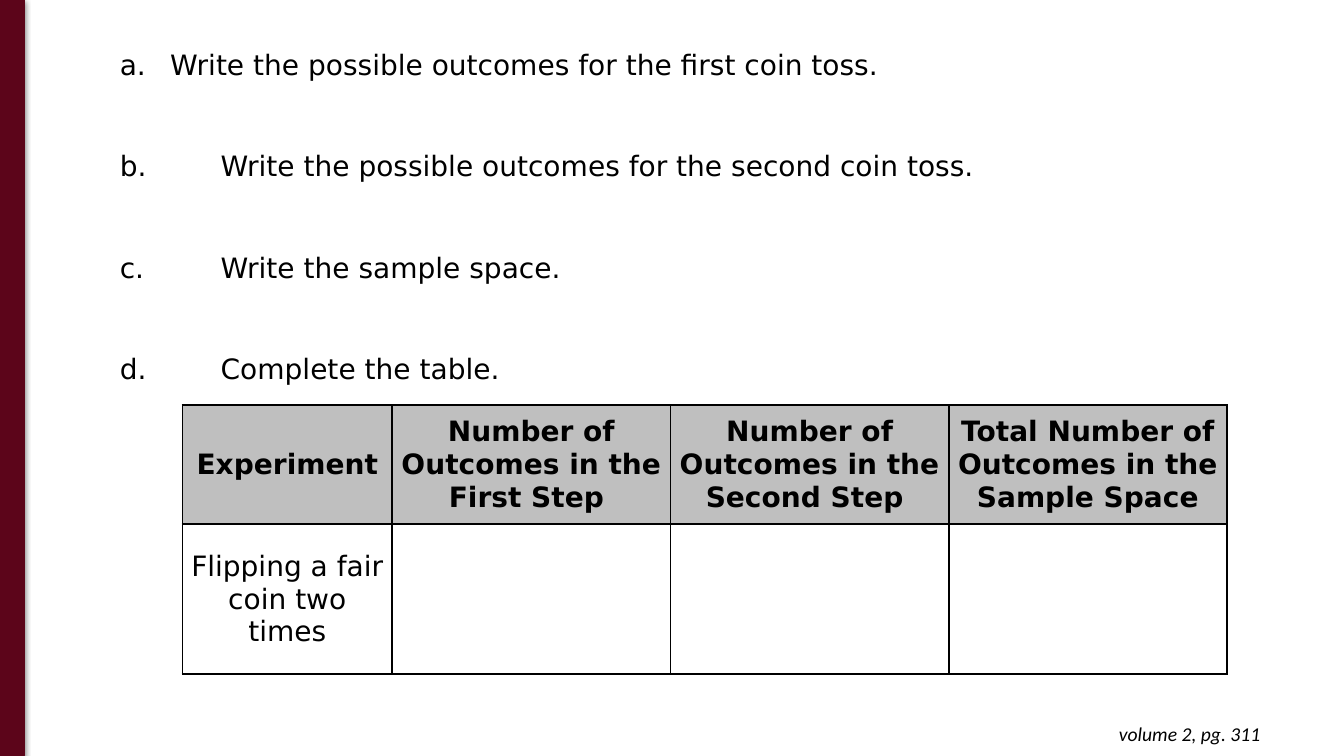
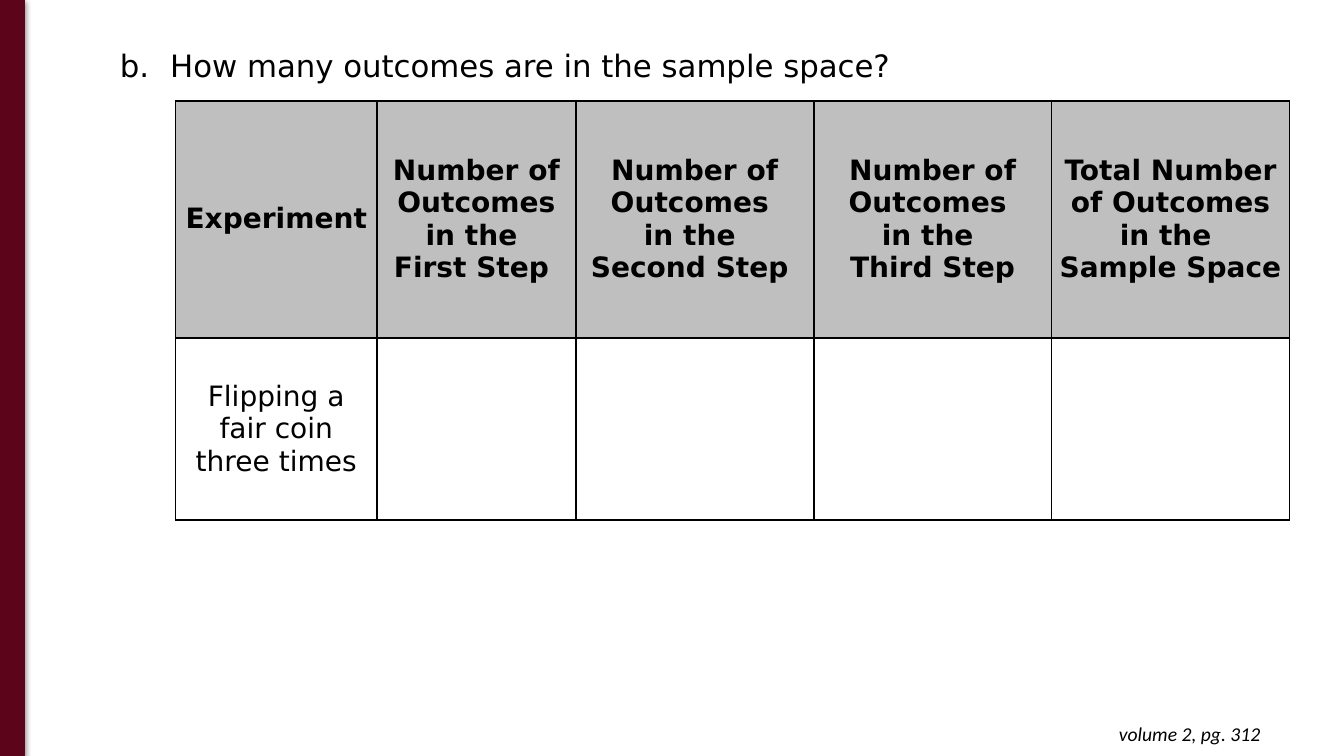
"""Build two worksheet slides on coin toss outcomes."""
from lxml import etree
from pptx import Presentation
from pptx import util as u
from pptx.dml.color import RGBColor
from pptx.enum import shapes, text
from pptx.oxml import ns

HUES = {"bar": "5C051A", "head": "BFBFBF", "ink": "000000"}
FONT = "DejaVu Sans"
PAGES = [
    {
        "box": (0.59, 0.42, 11.4, 3.47),
        "size": 20,
        "first": 1,
        "tasks": [
            ("Write the possible outcomes for the first coin toss.", 1, 0.5),
            ("Write the possible outcomes for the second coin toss.", 1.5, 1),
            ("Write the sample space.", 1.5, 1),
            ("Complete the table.", 1.5, 1),
        ],
        "spot": (1.81, 4.02),
        "cols": [2.08, 2.76, 2.76, 2.76],
        "rows": [1.18, 1.49],
        "heads": [
            "Experiment",
            "Number of Outcomes in the First Step ",
            "Number of Outcomes in the Second Step ",
            "Total Number of Outcomes in the Sample Space",
        ],
        "trial": "Flipping a fair coin two times",
        "foot": "volume 2, pg. 311",
    },
    {
        "box": (0.59, 0.41, 9.9, 0.5),
        "size": 22,
        "first": 2,
        "tasks": [("How many outcomes are in the sample space?", 1, 0.5)],
        "spot": (1.74, 1),
        "cols": [2, 1.97, 2.36, 2.36, 2.36],
        "rows": [2.35, 1.81],
        "heads": [
            "Experiment",
            "Number of Outcomes in the \nFirst Step ",
            "Number of Outcomes \nin the \nSecond Step ",
            "Number of Outcomes \nin the \nThird Step",
            "Total Number of Outcomes in the \nSample Space",
        ],
        "trial": "Flipping a fair coin three times",
        "foot": "volume 2, pg. 312",
    },
]


def hue(name):
    return RGBColor.from_string(HUES[name])


def node(root, tag, **attrs):
    return etree.SubElement(root, ns.qn(tag), {k: str(v) for k, v in attrs.items()})


def style(para, size, face=FONT, bold=False, slant=False):
    font = para.font
    font.name, font.size = face, u.Pt(size)
    font.bold, font.italic = bold, slant
    font.color.rgb = hue("ink")


def add_box(slide, place):
    frame = slide.shapes.add_textbox(*map(u.Inches, place)).text_frame
    frame.word_wrap = True
    return frame


def add_bar(slide):
    bar = slide.shapes.add_shape(
        shapes.MSO_SHAPE.RECTANGLE, 0, 0, u.Inches(0.24), u.Inches(7.5))
    bar.fill.solid()
    bar.fill.fore_color.rgb = bar.line.color.rgb = hue("bar")
    bar.line.width = u.Pt(0.75)
    bar.shadow.inherit = False
    glow = bar._element.spPr.find(ns.qn("a:effectLst"))
    cast = node(glow, "a:outerShdw", blurRad=u.Pt(4.5), dist=u.Pt(1.5),
                dir=5400000, rotWithShape=0)
    tint = node(cast, "a:srgbClr", val=HUES["ink"])
    node(tint, "a:alpha", val=50000)


def add_tasks(slide, page):
    frame = add_box(slide, page["box"])
    for i, (line, left, hang) in enumerate(page["tasks"]):
        para = frame.add_paragraph() if i else frame.paragraphs[0]
        para.text = line
        props = para._p.get_or_add_pPr()
        props.set("marL", str(u.Inches(left)))
        props.set("indent", str(-u.Inches(hang)))
        if i:
            para.space_before = u.Pt(48.5)
        tint = node(props, "a:buClr")
        node(tint, "a:srgbClr", val=HUES["ink"])
        node(props, "a:buFont", typeface=FONT)
        node(props, "a:buAutoNum", type="alphaLcPeriod", startAt=page["first"] + i)
        style(para, page["size"])


def add_edges(cell):
    props = cell._tc.get_or_add_tcPr()
    for i, side in enumerate("LRTB"):
        edge = node(props, f"a:ln{side}", w=u.Pt(1.5))
        fill = node(edge, "a:solidFill")
        node(fill, "a:srgbClr", val=HUES["ink"])
        props.insert(i, edge)


def add_grid(slide, page):
    cols, rows = page["cols"], page["rows"]
    place = (*page["spot"], sum(cols), sum(rows))
    grid = slide.shapes.add_table(len(rows), len(cols), *map(u.Inches, place)).table
    for col, wide in zip(grid.columns, cols):
        col.width = u.Inches(wide)
    for row, tall in zip(grid.rows, rows):
        row.height = u.Inches(tall)
    words = [page["heads"], [page["trial"]] + [""] * (len(cols) - 1)]
    for r, line in enumerate(words):
        for c, word in enumerate(line):
            cell = grid.cell(r, c)
            cell.margin_left = cell.margin_right = u.Inches(0.07)
            cell.margin_top = cell.margin_bottom = 0
            cell.vertical_anchor = text.MSO_ANCHOR.MIDDLE
            add_edges(cell)
            if r == 0:
                cell.fill.solid()
                cell.fill.fore_color.rgb = hue("head")
            else:
                cell.fill.background()
            para = cell.text_frame.paragraphs[0]
            para.text = word
            para.alignment = text.PP_ALIGN.CENTER
            style(para, 20, bold=r == 0)


def add_foot(slide, line):
    frame = add_box(slide, (9.72, 7.06, 2.88, 0.44))
    frame.margin_top = frame.margin_bottom = u.Inches(0.1)
    para = frame.paragraphs[0]
    para.text = line
    para.alignment = text.PP_ALIGN.RIGHT
    style(para, 14, face="Calibri", slant=True)


def main():
    deck = Presentation()
    deck.slide_width, deck.slide_height = u.Inches(13.33), u.Inches(7.5)
    for page in PAGES:
        slide = deck.slides.add_slide(deck.slide_layouts[6])
        add_tasks(slide, page)
        add_bar(slide)
        add_grid(slide, page)
        add_foot(slide, page["foot"])
    deck.save("out.pptx")


if __name__ == "__main__":
    main()
